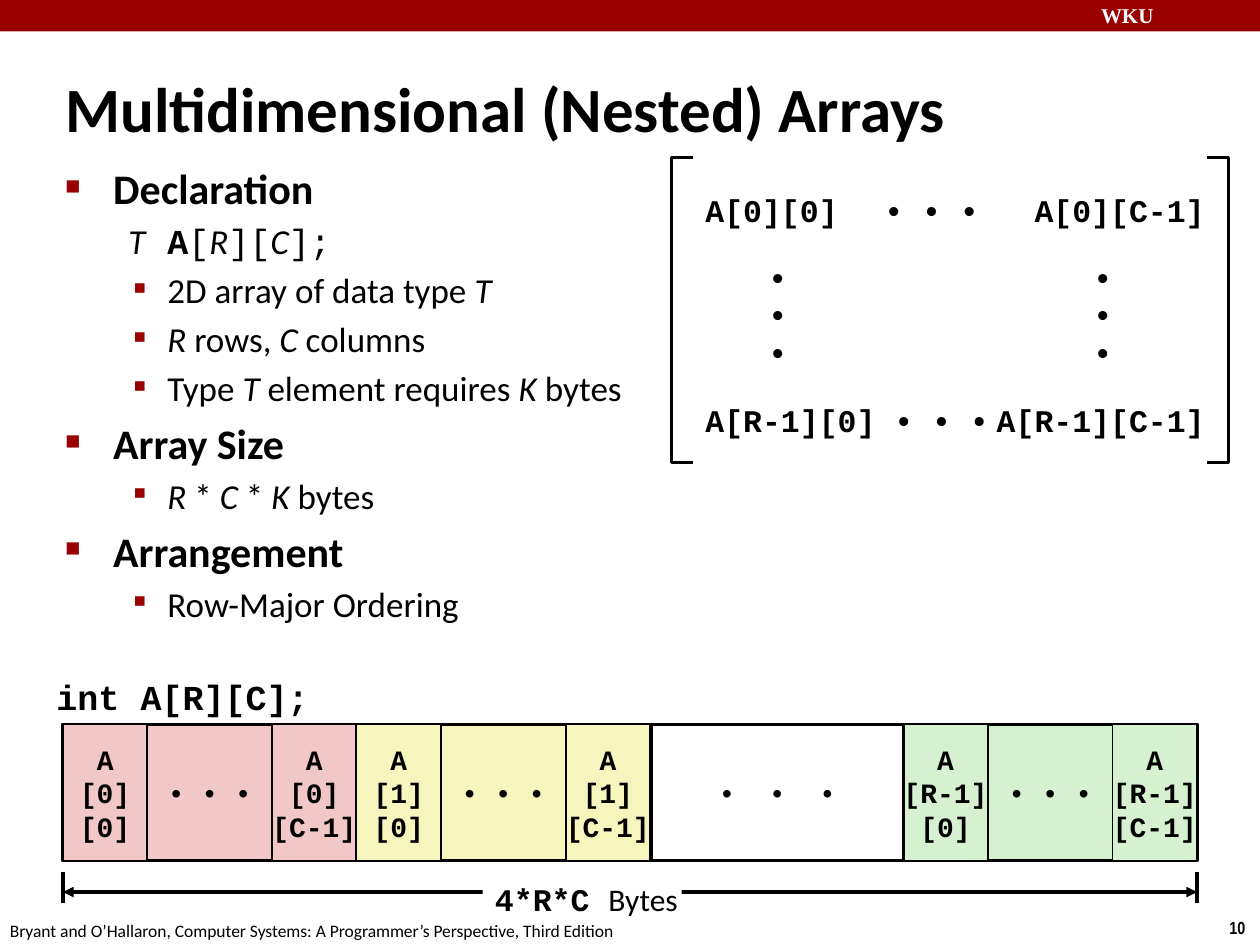
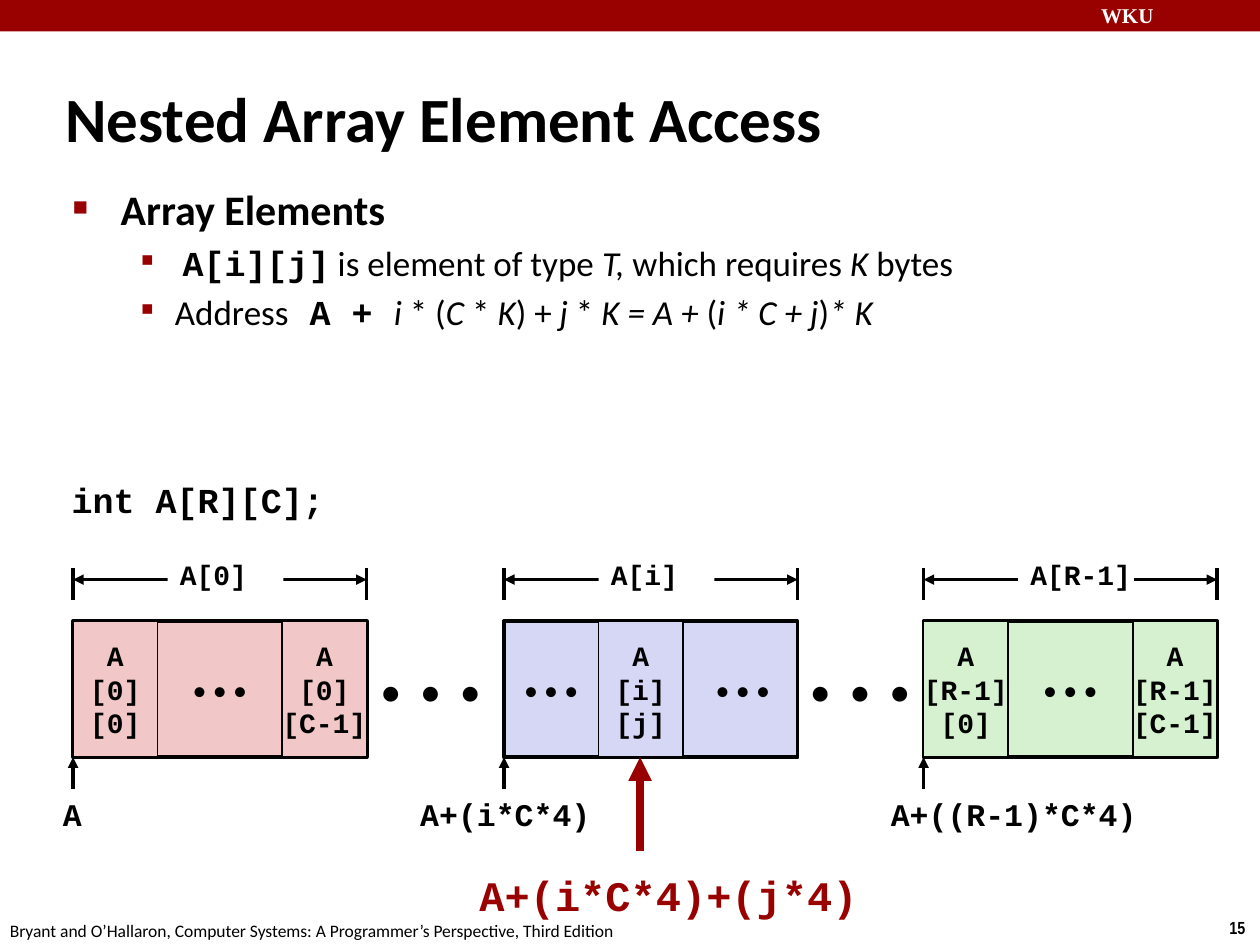
from dataclasses import dataclass

from lxml import etree
from pptx import Presentation
from pptx.dml.color import RGBColor
from pptx.enum.shapes import MSO_CONNECTOR, MSO_SHAPE
from pptx.enum.text import MSO_ANCHOR, MSO_AUTO_SIZE, PP_ALIGN
from pptx.oxml.ns import qn
from pptx.util import Inches, Pt

LEFT, CENTER, RIGHT = PP_ALIGN.LEFT, PP_ALIGN.CENTER, PP_ALIGN.RIGHT
TOP, MIDDLE = MSO_ANCHOR.TOP, MSO_ANCHOR.MIDDLE
GROW = MSO_AUTO_SIZE.SHAPE_TO_FIT_TEXT
RECTANGLE, STRAIGHT = MSO_SHAPE.RECTANGLE, MSO_CONNECTOR.STRAIGHT

SANS, MONO = "Calibri", "Courier New"
BLACK, WHITE, CRIMSON = "000000", "FFFFFF", "990000"
PINK, YELLOW, GREEN, LILAC = "F1C7C7", "F6F5BD", "D5F1CF", "D6D6F5"
DOTS = "• • •"
FOOTER = "Bryant and O’Hallaron, Computer Systems: A Programmer’s Perspective, Third Edition"
ROW_WIDTH, CELL_WIDTH, CELL_HEIGHT = 2.33, 0.67, 1.08


@dataclass(frozen=True)
class Area:
    left: float
    top: float
    width: float
    height: float

    def emu(self) -> tuple:
        return tuple(Inches(v) for v in (self.left, self.top, self.width, self.height))


@dataclass(frozen=True)
class Run:
    text: str
    font: str | None = None
    bold: bool | None = None
    italic: bool = False


@dataclass(frozen=True)
class Bullet:
    char: str
    percent: int
    margin: float
    hanging: float
    size: float
    space: float


@dataclass(frozen=True)
class Point:
    runs: tuple
    bullet: Bullet


@dataclass(frozen=True)
class ArrayRow:
    left: float
    fill: str
    index: str


TOPIC = Bullet("■", 60, 0.38, 0.38, 24, 4.8)
DETAIL = Bullet("▪", 110, 0.81, 0.31, 20, 4)
CODE_DETAIL = Bullet("▪", 110, 0.87, 0.37, 20, 4)
SYNTAX = Bullet("", 100, 0.81, 0.31, 20, 4)


def color(value: str) -> RGBColor:
    return RGBColor.from_string(value)


def var(text: str) -> Run:
    return Run(text, italic=True)


def code(text: str, bold: bool = True) -> Run:
    return Run(text, MONO, bold)


def topic(text: str) -> Point:
    return Point((Run(text, bold=True),), TOPIC)


def detail(*runs, bullet: Bullet = DETAIL) -> Point:
    return Point(tuple(Run(r) if isinstance(r, str) else r for r in runs), bullet)


def put_paragraph(paragraph, runs, *, font=SANS, size=18, ink=BLACK, bold=False,
                  align=LEFT, tracking=0):
    paragraph.alignment = align
    for part in (Run(runs),) if isinstance(runs, str) else runs:
        run = paragraph.add_run()
        run.text = part.text
        run.font.name = part.font or font
        run.font.size = Pt(size)
        run.font.bold = bold if part.bold is None else part.bold
        run.font.italic = part.italic
        run.font.color.rgb = color(ink)
        if tracking:
            run.font._element.set("spc", str(tracking))


def put_text(frame, lines, *, anchor=MIDDLE, wrap=False, **style):
    frame.word_wrap = wrap
    frame.vertical_anchor = anchor
    for number, line in enumerate(lines):
        paragraph = frame.add_paragraph() if number else frame.paragraphs[0]
        put_paragraph(paragraph, line, **style)


def add_label(slide, area: Area, text: str, *, grow=True, wrap=True, anchor=TOP, **style):
    frame = slide.shapes.add_textbox(*area.emu()).text_frame
    put_text(frame, [text], anchor=anchor, wrap=wrap, **style)
    if grow:
        frame.auto_size = GROW


def add_box(slide, area: Area, lines=(), *, fill=WHITE, line_width=0, **style):
    box = slide.shapes.add_shape(RECTANGLE, *area.emu())
    box.shadow.inherit = False
    box.fill.solid()
    box.fill.fore_color.rgb = color(fill)
    if line_width:
        box.line.color.rgb = color(BLACK)
        box.line.width = Pt(line_width)
    else:
        box.line.fill.background()
    put_text(box.text_frame, lines, **style)


def add_line(slide, start: tuple, end: tuple, *, ink=BLACK, width=2.0, arrows=()):
    line = slide.shapes.add_connector(STRAIGHT, *(Inches(v) for v in start + end))
    line.line.color.rgb = color(ink)
    line.line.width = Pt(width)
    outline = line.line._get_or_add_ln()
    for arrow in arrows:
        etree.SubElement(outline, qn(f"a:{arrow}"), type="triangle")
    etree.SubElement(line._element.spPr, qn("a:effectLst"))


def add_span(slide, left: float, right: float, top: float, arrow_y: float):
    for x in (left, right):
        add_line(slide, (x, top), (x, top + 0.25))
    add_line(slide, (left, arrow_y), (right, arrow_y), arrows=("headEnd", "tailEnd"))


def add_bracket(slide, tip: float, spine: float, top: float, bottom: float):
    corners = [(spine, top), (spine, bottom), (tip, bottom)]
    builder = slide.shapes.build_freeform(Inches(tip), Inches(top))
    builder.add_line_segments([(Inches(x), Inches(y)) for x, y in corners], close=False)
    bracket = builder.convert_to_shape()
    bracket.shadow.inherit = False
    bracket.fill.background()
    bracket.line.color.rgb = color(BLACK)
    bracket.line.width = Pt(2)


def add_points(slide, area: Area, points: list):
    frame = slide.shapes.add_textbox(*area.emu()).text_frame
    frame.word_wrap = True
    for number, point in enumerate(points):
        bullet = point.bullet
        paragraph = frame.add_paragraph() if number else frame.paragraphs[0]
        props = paragraph._p.get_or_add_pPr()
        props.set("marL", str(Inches(bullet.margin)))
        props.set("indent", str(-Inches(bullet.hanging)))
        if bullet.char:
            tint = etree.SubElement(props, qn("a:buClr"))
            etree.SubElement(tint, qn("a:srgbClr"), val=CRIMSON)
            etree.SubElement(props, qn("a:buSzPct"), val=str(bullet.percent * 1000))
            etree.SubElement(props, qn("a:buFont"), typeface=MONO)
            etree.SubElement(props, qn("a:buChar"), char=bullet.char)
        else:
            etree.SubElement(props, qn("a:buNone"))
            tabs = etree.SubElement(props, qn("a:tabLst"))
            etree.SubElement(tabs, qn("a:tab"), pos=str(Inches(bullet.margin)), algn="l")
        if number:
            paragraph.space_before = Pt(bullet.space)
        put_paragraph(paragraph, point.runs, size=bullet.size)


def add_cell(slide, left: float, top: float, fill: str, *indexes: str):
    add_box(slide, Area(left, top, CELL_WIDTH, CELL_HEIGHT), ["A", *indexes], fill=fill,
            line_width=1, font=MONO, size=16, bold=True, align=CENTER)


def add_array_row(slide, row: ArrayRow, top: float, dots_font: str):
    add_box(slide, Area(row.left, top, ROW_WIDTH, CELL_HEIGHT), [DOTS], fill=row.fill,
            line_width=2.25, font=dots_font, size=16, align=CENTER)
    add_cell(slide, row.left, top, row.fill, row.index, "[0]")
    add_cell(slide, row.left + ROW_WIDTH - CELL_WIDTH, top, row.fill, row.index, "[C-1]")


def add_declaration(slide, left: float, top: float):
    add_label(slide, Area(left, top, 2.5, 0.43), "int A[R][C];", wrap=True,
              font=MONO, size=20, bold=True)


def start_slide(deck, title: str, title_area: Area, number: str):
    slide = deck.slides.add_slide(deck.slide_layouts[6])
    add_box(slide, Area(0, 0, 10, 0.25), fill=CRIMSON)
    add_label(slide, Area(8.64, -0.03, 1.43, 0.3), "WKU", font="Times New Roman",
              size=12, ink=WHITE, bold=True)
    add_label(slide, Area(9.66, 7.23, 0.34, 0.27), number, wrap=False,
              font="Arial Narrow", size=10, bold=True)
    add_label(slide, Area(-0.02, 7.25, 5.08, 0.27), FOOTER, wrap=False, size=10)
    add_label(slide, title_area, title, grow=False, anchor=MIDDLE, size=36, bold=True)
    return slide


def build_nested_arrays(deck):
    slide = start_slide(deck, "Multidimensional (Nested) Arrays",
                        Area(0.42, 0.54, 8.83, 0.63), "10")
    add_points(slide, Area(0.42, 1.24, 4.85, 3.68), [
        topic("Declaration"),
        detail(var("T\t"), code("A"), code("[", False), var("R"), code("][", False),
               var("C"), code("];", False), bullet=SYNTAX),
        detail("2D array of data type ", var("T")),
        detail(var("R"), " rows, ", var("C"), " columns"),
        detail("Type ", var("T"), " element requires ", var("K"), " bytes"),
        topic("Array Size"),
        detail(var("R"), " * ", var("C "), "* ", var("K "), "bytes"),
        topic("Arrangement"),
        detail("Row-Major Ordering"),
    ])

    matrix_style = dict(font=MONO, size=18, bold=True)
    for top, row, dots_left in ((1.42, "0", 6.92), (3.08, "R-1", 7)):
        add_box(slide, Area(5.5, top, 1.33, 0.5), [f"A[{row}][0]"], **matrix_style)
        add_box(slide, Area(dots_left, top, 1, 0.5), [DOTS], **matrix_style)
        add_box(slide, Area(8.33, top, 1.33, 0.5), [f"A[{row}][C-1]"], align=RIGHT,
                **matrix_style)
    for left in (6, 8.58):
        add_box(slide, Area(left, 2.08, 0.5, 0.83), ["•"] * 3, **matrix_style)
    for tip, spine in ((5.5, 5.33), (9.58, 9.75)):
        add_bracket(slide, tip, spine, 1.25, 3.67)

    add_declaration(slide, 0.35, 5.31)
    memory_top = 5.75
    for row in (ArrayRow(0.5, PINK, "[0]"), ArrayRow(2.83, YELLOW, "[1]"),
                ArrayRow(7.17, GREEN, "[R-1]")):
        add_array_row(slide, row, memory_top, MONO)
    add_box(slide, Area(5.17, memory_top, 2, CELL_HEIGHT), [DOTS], line_width=2,
            font=MONO, size=16, align=CENTER, tracking=480)
    add_span(slide, 0.5, 9.5, 6.92, 7.08)
    add_box(slide, Area(3.83, 6.92, 1.58, 0.42), [(code("4*R*C "), Run("Bytes"))])


def build_element_access(deck):
    slide = start_slide(deck, "Nested Array Element Access",
                        Area(0.42, 0.62, 7.58, 0.63), "15")
    add_points(slide, Area(0.48, 1.41, 8.52, 1.59), [
        topic("Array Elements"),
        detail(code("A[i][j]"), " is element of type ", var("T, "), "which requires ",
               var("K"), " bytes", bullet=CODE_DETAIL),
        detail("Address", code(" A + "), var("i "), "* (", var("C "), "* ", var("K"),
               ") + ", var("j"), " * ", var("K = A + "), "(", var("i * C + j"), ")",
               var("* K")),
    ])
    add_declaration(slide, 0.47, 3.75)

    memory_top = 4.93
    for left in (2.92, 6.33):
        add_box(slide, Area(left, memory_top, 1.08, CELL_HEIGHT), [DOTS], size=24,
                tracking=270)

    first, middle, last = (ArrayRow(0.58, PINK, "[0]"), ArrayRow(4, LILAC, "[i]"),
                           ArrayRow(7.33, GREEN, "[R-1]"))
    for row in (first, last):
        add_array_row(slide, row, memory_top, SANS)
    add_box(slide, Area(middle.left, memory_top, ROW_WIDTH, CELL_HEIGHT),
            fill=LILAC, line_width=2.25)
    for left, width in ((4.1, 0.55), (5.52, 0.75)):
        add_box(slide, Area(left, 5.22, width, 0.5), [DOTS], fill=LILAC, size=16,
                align=CENTER)
    add_cell(slide, 4.75, memory_top, LILAC, middle.index, "[j]")

    for row, label_left in ((first, 1.33), (middle, 4.75), (last, 8.08)):
        add_span(slide, row.left, row.left + ROW_WIDTH, 4.51, 4.6)
        add_box(slide, Area(label_left, 4.35, 0.92, 0.42), [f"A{row.index}"],
                font=MONO, size=16, bold=True)

    for row, address, left, width in ((first, "A", 0.36, 0.43),
                                      (middle, "A+(i*C*4)", 3.22, 1.58),
                                      (last, "A+((R-1)*C*4)", 6.92, 2.25)):
        add_line(slide, (row.left, 6.26), (row.left, 6.01), arrows=("tailEnd",))
        add_label(slide, Area(left, 6.26, width, 0.4), address, font=MONO, size=18,
                  bold=True, align=CENTER)
    add_line(slide, (5.08, 6.75), (5.08, 6.01), ink=CRIMSON, width=4.5,
             arrows=("tailEnd",))
    add_label(slide, Area(3.69, 6.85, 3.23, 0.5), "A+(i*C*4)+(j*4)", font=MONO, size=24,
              ink=CRIMSON, bold=True, align=CENTER)


def main():
    deck = Presentation()
    deck.slide_width, deck.slide_height = Inches(10), Inches(7.5)
    build_nested_arrays(deck)
    build_element_access(deck)
    deck.save("out.pptx")


if __name__ == "__main__":
    main()
